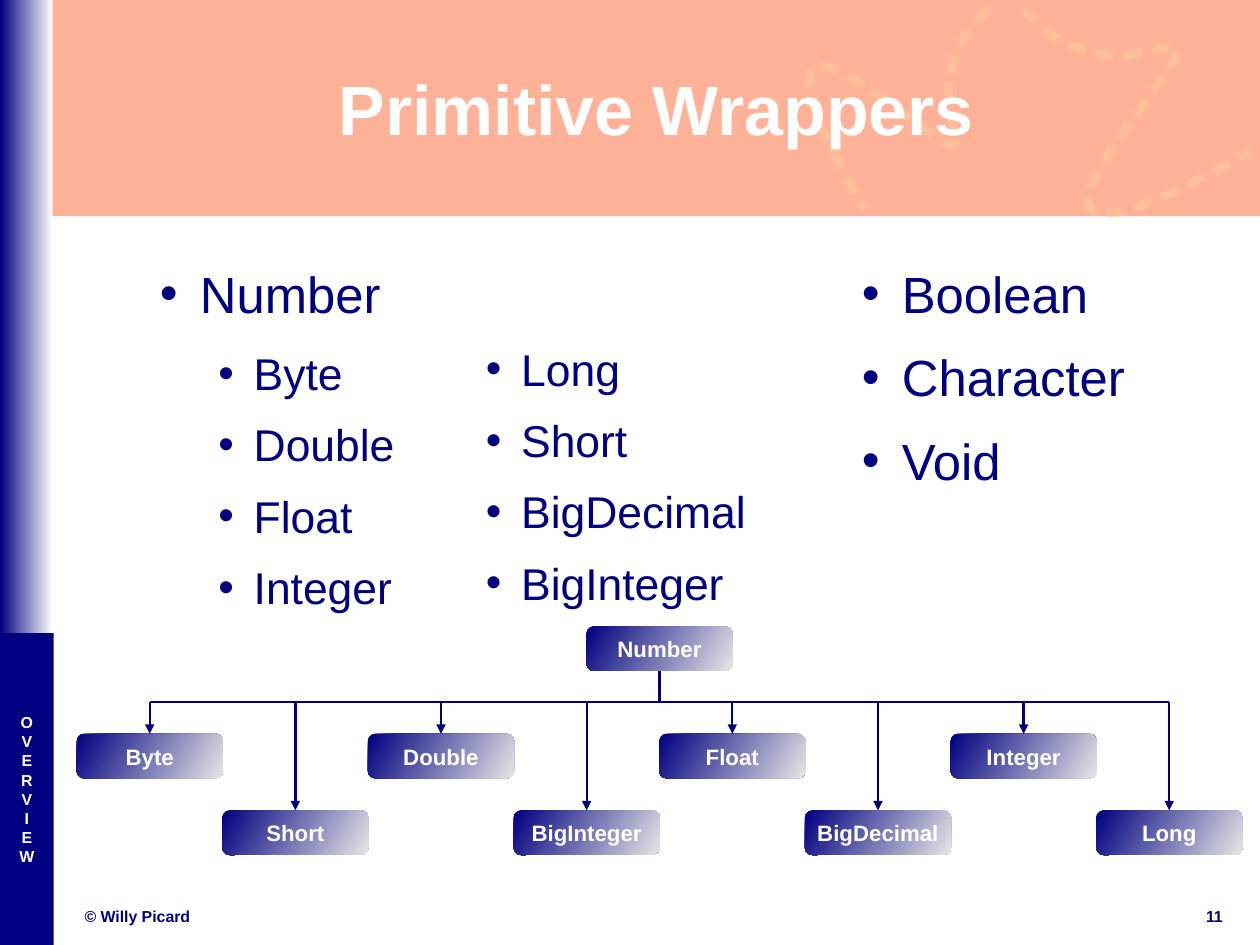
from dataclasses import dataclass

import pptx
import pptx.dml.color
import pptx.enum.shapes
import pptx.enum.text
import pptx.oxml
import pptx.oxml.ns
import pptx.util
from pptx.util import Inches

SHAPES = pptx.enum.shapes.MSO_SHAPE
ALIGN = pptx.enum.text.PP_ALIGN
ANCHOR = pptx.enum.text.MSO_ANCHOR


@dataclass(frozen=True)
class Theme:
    font: str = "Arial"
    navy: str = "000080"
    white: str = "FFFFFF"
    grey: str = "E6E6E6"
    banner: str = "FF6633"
    squiggle: str = "FFCC99"
    title: int = 44
    topic: int = 32
    subtopic: int = 28
    node: int = 14
    small: int = 10
    line: float = 1.45
    squiggle_line: float = 5.67


THEME = Theme()

# The page measures 28 by 21 centimetres
PAGE_WIDTH, PAGE_HEIGHT = 28 / 2.54, 21 / 2.54

# Text size, left indent, hanging indent and space after for each list level
LEVELS = [(THEME.topic, 0.47, 0.35, 14.1), (THEME.subtopic, 0.94, 0.31, 11.3)]

SUBCLASSES = ["Byte", "Short", "Double", "BigInteger",
              "Float", "BigDecimal", "Integer", "Long"]
NODE_WIDTH, NODE_HEIGHT = 1.28, 0.39
FIRST_LEFT, LAST_LEFT = 0.67, 9.59
NODE_STEP = (LAST_LEFT - FIRST_LEFT) / (len(SUBCLASSES) - 1)
ROW_TOPS = [6.42, 7.09]
BRANCH_Y = 6.14

LOOP_CURVES = [
    [(8.65, 0.08), (7.74, 0.86), (9.05, 1.85), (7.72, 0.86)],
    [(7.72, 0.86), (6.38, -0.14), (7.56, 1.83), (7.56, 1.83)],
]
WAVE = [
    (8.95, 0.08), (9.14, 0.27), (9.33, 0.39), (9.52, 0.45), (9.71, 0.48),
    (9.87, 0.48), (10.02, 0.46), (10.14, 0.43), (10.23, 0.41), (10.29, 0.42),
    (10.3, 0.45), (10.27, 0.53), (10.18, 0.66), (10.04, 0.86), (9.83, 1.15),
    (9.64, 1.43), (9.54, 1.64), (9.51, 1.77), (9.56, 1.85), (9.65, 1.87),
    (9.79, 1.86), (9.96, 1.81), (10.14, 1.73), (10.34, 1.65), (10.52, 1.55),
    (10.68, 1.47), (10.81, 1.39), (10.94, 1.32),
]


def rgb(color):
    return pptx.dml.color.RGBColor.from_string(color)


def add_xml(parent, tag, **attributes):
    child = pptx.oxml.parse_xml(f"<a:{tag} {pptx.oxml.ns.nsdecls('a')}/>")
    for name, value in attributes.items():
        child.set(name, str(value))
    parent.append(child)
    return child


def make_translucent(fill_owner, percent):
    for color in fill_owner.iter(pptx.oxml.ns.qn("a:srgbClr")):
        add_xml(color, "alpha", val=percent * 1000)


def write(shape, lines, size, color, bold=True, align=ALIGN.CENTER, anchor=ANCHOR.MIDDLE):
    frame = shape.text_frame
    frame.margin_left = frame.margin_right = frame.margin_top = frame.margin_bottom = 0
    frame.word_wrap = True
    frame.vertical_anchor = anchor
    frame.text = "\n".join(lines)
    for para in frame.paragraphs:
        para.alignment = align
        for span in para.runs:
            span.font.name = THEME.font
            span.font.size = pptx.util.Pt(size)
            span.font.bold = bold
            span.font.color.rgb = rgb(color)
    return frame


def add_label(page, area, text, size, color, align=ALIGN.CENTER):
    box = page.shapes.add_textbox(*map(Inches, area))
    write(box, [text], size, color, align=align)


def add_list(page, area, items):
    """Items are (level, text) pairs."""
    box = page.shapes.add_textbox(*map(Inches, area))
    frame = write(box, [text for _, text in items], THEME.topic, THEME.navy,
                  bold=False, align=ALIGN.LEFT, anchor=ANCHOR.TOP)
    for para, (level, _) in zip(frame.paragraphs, items):
        size, indent, hanging, gap = LEVELS[level]
        para.level = level
        para.space_after = pptx.util.Pt(gap)
        para.runs[0].font.size = pptx.util.Pt(size)
        properties = para._p.get_or_add_pPr()
        properties.set("marL", str(Inches(indent)))
        properties.set("indent", str(-Inches(hanging)))
        add_xml(properties, "buFont", typeface=THEME.font)
        add_xml(properties, "buChar", char="•")


def add_panel(page, area, color, fade_to=None, angle=0, kind=SHAPES.RECTANGLE):
    panel = page.shapes.add_shape(kind, *map(Inches, area))
    panel.shadow.inherit = False
    panel.line.fill.background()
    if fade_to:
        panel.fill.gradient()
        panel.fill.gradient_angle = angle
        for stop, stop_color in zip(panel.fill.gradient_stops, (color, fade_to)):
            stop.color.rgb = rgb(stop_color)
    else:
        panel.fill.solid()
        panel.fill.fore_color.rgb = rgb(color)
    return panel


def add_node(page, left, top, name):
    node = add_panel(page, (left, top, NODE_WIDTH, NODE_HEIGHT), THEME.navy,
                     THEME.grey, 330, SHAPES.ROUNDED_RECTANGLE)
    write(node, [name], THEME.node, THEME.white)
    return node


def add_line(page, start, end, arrow=False):
    line = page.shapes.add_connector(pptx.enum.shapes.MSO_CONNECTOR.STRAIGHT,
                                     *map(Inches, start + end))
    line.line.color.rgb = rgb(THEME.navy)
    line.line.width = pptx.util.Pt(THEME.line)
    if arrow:
        add_xml(line.line._get_or_add_ln(), "tailEnd", type="triangle")
    add_xml(line._element.spPr, "effectLst")
    return line


def curve_points(curve, steps=24):
    for step in range(steps + 1):
        t = step / steps
        weights = ((1 - t) ** 3, 3 * t * (1 - t) ** 2, 3 * t * t * (1 - t), t ** 3)
        yield tuple(sum(w * point[axis] for w, point in zip(weights, curve))
                    for axis in (0, 1))


def add_squiggle(page, points):
    first, *rest = [tuple(map(Inches, point)) for point in points]
    builder = page.shapes.build_freeform(*first)
    builder.add_line_segments(rest, close=False)
    squiggle = builder.convert_to_shape()
    squiggle.shadow.inherit = False
    squiggle.fill.background()
    squiggle.line.color.rgb = rgb(THEME.squiggle)
    squiggle.line.width = pptx.util.Pt(THEME.squiggle_line)
    outline = squiggle.line._get_or_add_ln()
    make_translucent(outline, 50)
    add_xml(add_xml(outline, "custDash"), "ds", d=200000, sp=120000)


def add_tree(page):
    centers = [FIRST_LEFT + NODE_WIDTH / 2 + NODE_STEP * i for i in range(len(SUBCLASSES))]
    middle = (centers[0] + centers[-1]) / 2
    add_line(page, (centers[0], BRANCH_Y), (centers[-1], BRANCH_Y))
    root = add_node(page, middle - NODE_WIDTH / 2, 5.48, "Number")
    trunk = add_line(page, (middle, 5.87), (middle, BRANCH_Y))
    trunk.begin_connect(root, 2)
    for index, (center, name) in enumerate(zip(centers, SUBCLASSES)):
        top = ROW_TOPS[index % 2]
        node = add_node(page, center - NODE_WIDTH / 2, top, name)
        branch = add_line(page, (center, BRANCH_Y), (center, top), arrow=True)
        branch.end_connect(node, 0)


def main():
    deck = pptx.Presentation()
    deck.slide_width, deck.slide_height = Inches(PAGE_WIDTH), Inches(PAGE_HEIGHT)
    page = deck.slides.add_slide(deck.slide_layouts[6])

    # Banner and sidebar
    banner = add_panel(page, (0, 0, PAGE_WIDTH, 1.89), THEME.banner)
    make_translucent(banner._element.spPr, 50)
    add_panel(page, (0, 0, 0.46, 5.72), THEME.navy, THEME.white)
    sidebar = add_panel(page, (0, 5.54, 0.47, 2.73), THEME.navy)
    write(sidebar, "OVERVIEW", THEME.small, THEME.white)
    add_squiggle(page, [point for curve in LOOP_CURVES for point in curve_points(curve)])
    add_squiggle(page, WAVE)
    add_label(page, (0.47, 0.25, 10.55, 1.38), "Primitive Wrappers", THEME.title, THEME.white)

    # Class lists
    add_list(page, (1.28, 2.3, 2.54, 3.1),
             [(0, "Number"), (1, "Byte"), (1, "Double"), (1, "Float"), (1, "Integer")])
    add_list(page, (3.62, 2.99, 3.13, 2.47),
             [(1, "Long"), (1, "Short"), (1, "BigDecimal"), (1, "BigInteger")])
    add_list(page, (7.42, 2.3, 2.81, 2.17),
             [(0, "Boolean"), (0, "Character"), (0, "Void")])

    # Inheritance tree
    add_tree(page)

    # Footer
    add_label(page, (0.74, 7.92, 4.47, 0.19), "© Willy Picard", THEME.small, THEME.navy, ALIGN.LEFT)
    add_label(page, (10.46, 7.92, 0.33, 0.19), "11", THEME.small, THEME.navy)
    deck.save("out.pptx")


if __name__ == "__main__":
    main()
